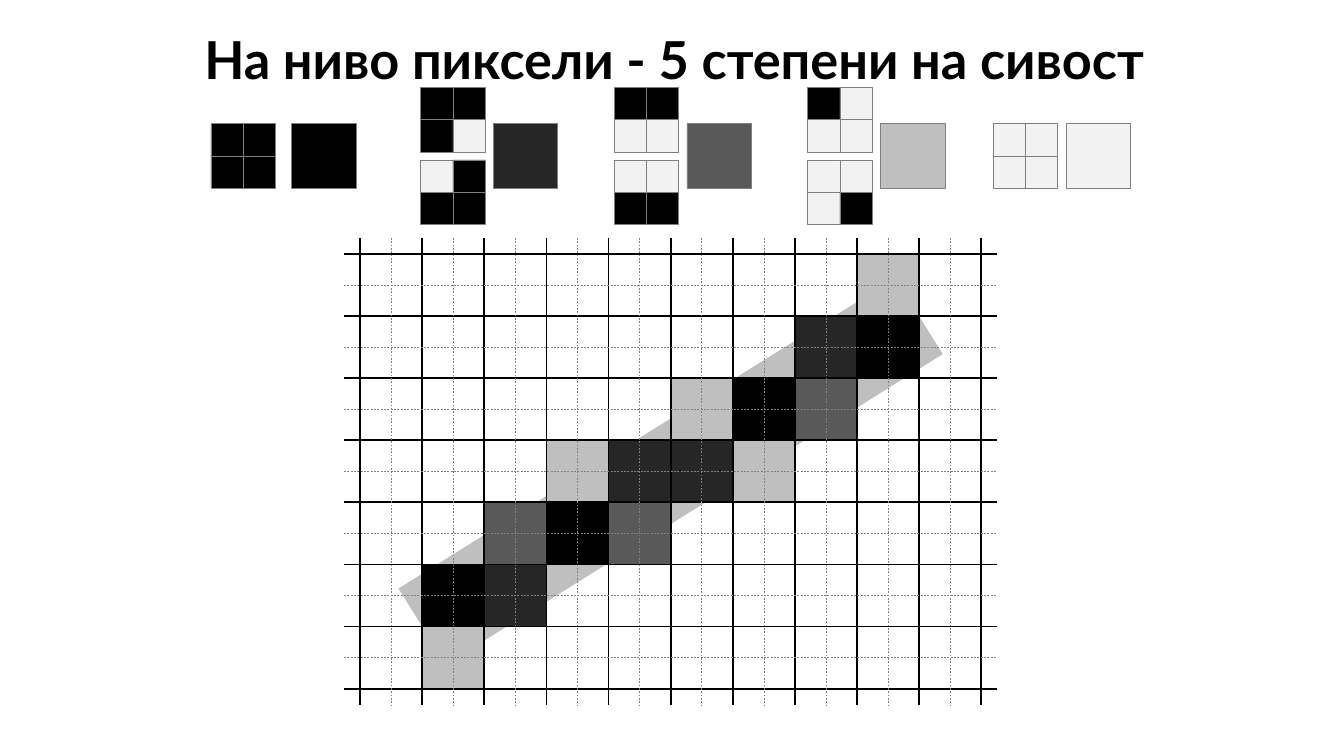
from lxml import etree
from pptx import Presentation
from pptx.dml.color import RGBColor
from pptx.enum.dml import MSO_LINE
from pptx.enum.shapes import MSO_CONNECTOR, MSO_SHAPE
from pptx.enum.text import MSO_ANCHOR, PP_ALIGN
from pptx.oxml.ns import qn
from pptx.util import Inches, Pt

DASH = MSO_LINE.DASH
STRAIGHT = MSO_CONNECTOR.STRAIGHT
RECTANGLE = MSO_SHAPE.RECTANGLE
TOP = MSO_ANCHOR.TOP
LEFT = PP_ALIGN.LEFT

BLACK = RGBColor(0x00, 0x00, 0x00)
DARK = RGBColor(0x26, 0x26, 0x26)
MEDIUM = RGBColor(0x59, 0x59, 0x59)
LIGHT = RGBColor(0xBF, 0xBF, 0xBF)
WHITE = RGBColor(0xF2, 0xF2, 0xF2)
GRAY = RGBColor(0x80, 0x80, 0x80)
SHADES = {"B": BLACK, "D": DARK, "M": MEDIUM, "L": LIGHT, "W": WHITE}

PAGE_WIDTH = 10
PAGE_HEIGHT = PAGE_WIDTH * 9 / 16

GRID_LEFT, GRID_TOP = 2.68, 1.89
CELL = 4.62 / 10
COLUMNS, ROWS = 10, 7
OVERHANG = 0.12
PIXELS = [
    "........L.",
    ".......DB.",
    ".....LBM..",
    "...LDDL...",
    "..MBM.....",
    ".BD.......",
    ".L........",
]

SUBPIXEL = 0.24
SWATCH_TOP, UPPER_TOP, LOWER_TOP = 0.92, 0.65, 1.19
LEGEND = [
    (1.57, 2.17, BLACK, [(SWATCH_TOP, ("BB", "BB"))]),
    (3.13, 3.67, DARK, [(UPPER_TOP, ("BB", "BW")), (LOWER_TOP, ("WB", "BB"))]),
    (4.57, 5.11, MEDIUM, [(UPPER_TOP, ("BB", "WW")), (LOWER_TOP, ("WW", "BB"))]),
    (6.01, 6.55, LIGHT, [(UPPER_TOP, ("BW", "WW")), (LOWER_TOP, ("WW", "WB"))]),
    (7.39, 7.93, WHITE, [(SWATCH_TOP, ("WW", "WW"))]),
]


def add_title(slide, text):
    title = slide.shapes.title
    title.left, title.top = Inches(1.42), Inches(0.15)
    title.width, title.height = Inches(8.58), Inches(5.17)
    frame = title.text_frame
    frame.text = text
    frame.word_wrap = True
    frame.vertical_anchor = TOP
    paragraph = frame.paragraphs[0]
    paragraph.alignment = LEFT
    paragraph.font.name = "Lato"
    paragraph.font.size = Pt(28)
    paragraph.font.bold = True
    paragraph.font.color.rgb = BLACK


def add_line(shapes, start, end, color, width, dash=None):
    line = shapes.add_connector(STRAIGHT, *map(Inches, start + end))
    line.line.color.rgb = color
    line.line.width = Pt(width)
    if dash is not None:
        line.line.dash_style = dash
    etree.SubElement(line._element.spPr, qn("a:effectLst"))
    return line


def add_square(shapes, left, top, size, color, outlined):
    square = shapes.add_shape(
        RECTANGLE, Inches(left), Inches(top), Inches(size), Inches(size)
    )
    square.shadow.inherit = False
    square.fill.solid()
    square.fill.fore_color.rgb = color
    if outlined:
        square.line.color.rgb = GRAY
        square.line.width = Pt(0.25)
    else:
        square.line.fill.background()


def add_pattern(shapes, left, top, size, rows, outlined):
    for row, codes in enumerate(rows):
        for column, code in enumerate(codes):
            if code in SHADES:
                add_square(shapes, left + column * size, top + row * size,
                           size, SHADES[code], outlined)


def add_ideal_line(shapes):
    start = (GRID_LEFT + CELL, GRID_TOP + 6 * CELL)
    end = (GRID_LEFT + 9 * CELL, GRID_TOP + CELL)
    line = add_line(shapes, start, end, GRAY, 48)
    color = line.line._ln.find(".//" + qn("a:srgbClr"))
    etree.SubElement(color, qn("a:alpha"), val="50000")


def add_grid_lines(slide, offset, extra, color, width, dash=None):
    left, right = GRID_LEFT - OVERHANG, GRID_LEFT + COLUMNS * CELL + OVERHANG
    top, bottom = GRID_TOP - OVERHANG, GRID_TOP + ROWS * CELL + OVERHANG
    horizontals = slide.shapes.add_group_shape().shapes
    for row in range(ROWS + extra):
        y = GRID_TOP + (row + offset) * CELL
        add_line(horizontals, (left, y), (right, y), color, width, dash)
    verticals = slide.shapes.add_group_shape().shapes
    for column in range(COLUMNS + extra):
        x = GRID_LEFT + (column + offset) * CELL
        add_line(verticals, (x, top), (x, bottom), color, width, dash)


def add_legend(shapes):
    for pattern_left, swatch_left, shade, patterns in LEGEND:
        for top, rows in patterns:
            add_pattern(shapes, pattern_left, top, SUBPIXEL, rows, True)
        add_square(shapes, swatch_left, SWATCH_TOP, 2 * SUBPIXEL, shade, True)


def main():
    deck = Presentation()
    deck.slide_width = Inches(PAGE_WIDTH)
    deck.slide_height = Inches(PAGE_HEIGHT)
    slide = deck.slides.add_slide(deck.slide_layouts[5])
    add_title(slide, "На ниво пиксели - 5 степени на сивост")
    add_ideal_line(slide.shapes)
    add_pattern(slide.shapes, GRID_LEFT, GRID_TOP, CELL, PIXELS, False)
    add_grid_lines(slide, 0, 1, BLACK, 1)
    add_grid_lines(slide, 0.5, 0, GRAY, 0.25, DASH)
    add_legend(slide.shapes)
    deck.save("out.pptx")


if __name__ == "__main__":
    main()
